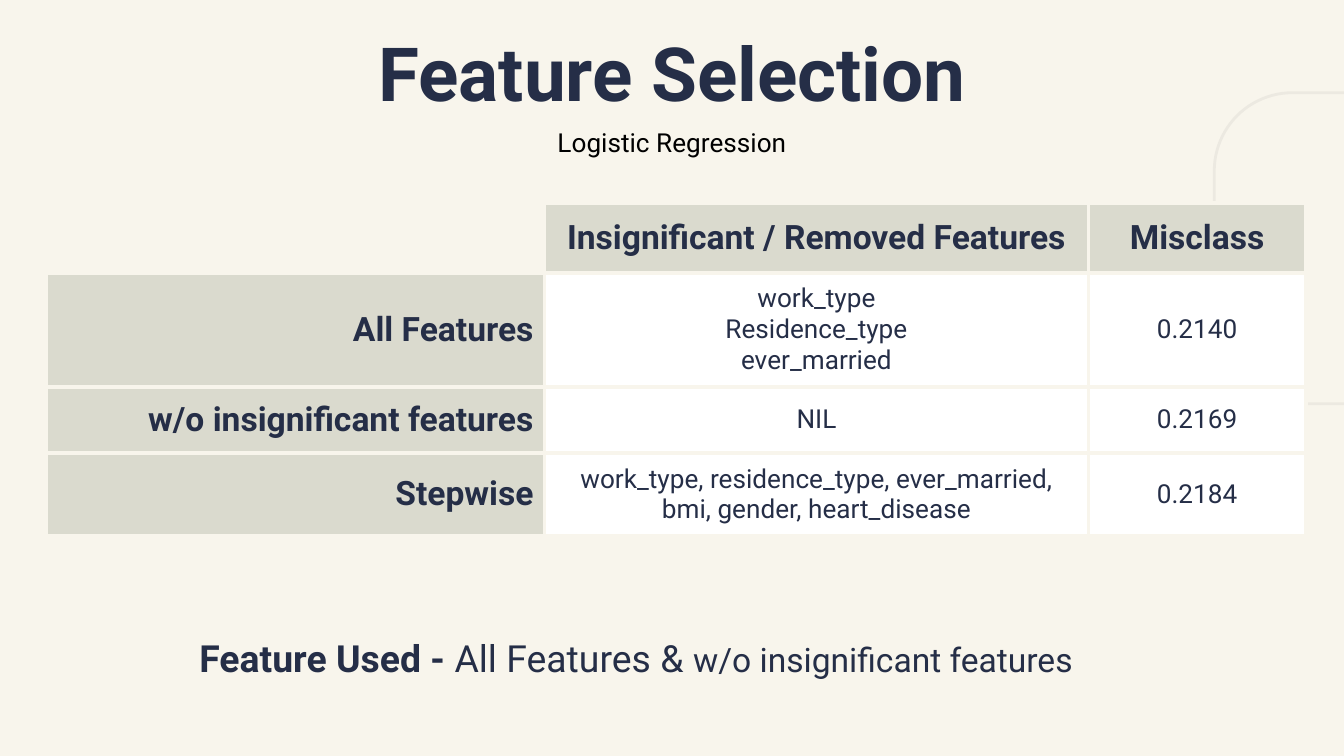
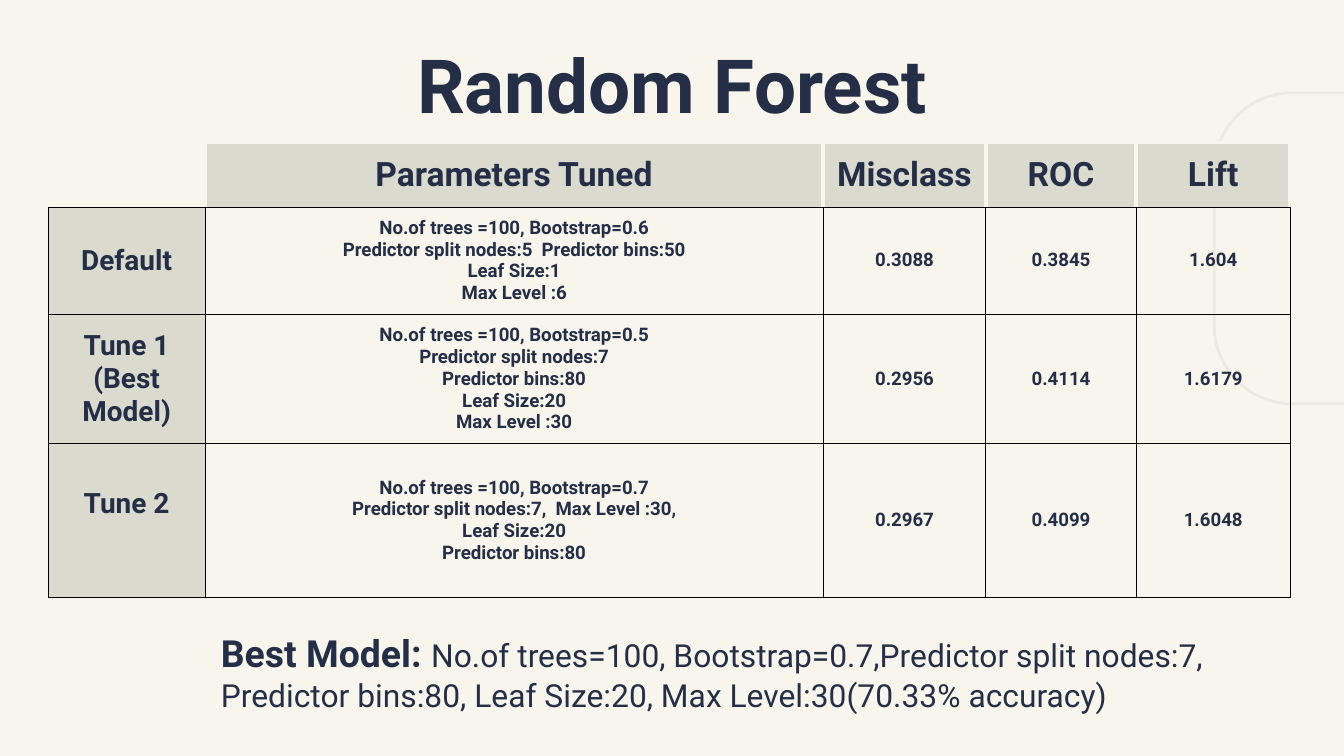
from dataclasses import dataclass, field

from lxml import etree
from pptx import Presentation
from pptx.dml.color import RGBColor
from pptx.enum.shapes import MSO_SHAPE
from pptx.enum.text import MSO_ANCHOR, PP_ALIGN
from pptx.oxml.ns import qn
from pptx.util import Emu, Pt

PX = 4572
FONT = "Roboto"
HUES = {"paper": "F8F5EC", "ink": "252E47", "band": "DADACE",
        "white": "FFFFFF", "black": "000000", "trace": "ECE9E1"}
LEFT, MID, RIGHT = PP_ALIGN.LEFT, PP_ALIGN.CENTER, PP_ALIGN.RIGHT
CENTRE = MSO_ANCHOR.MIDDLE
ROUND = MSO_SHAPE.ROUNDED_RECTANGLE


@dataclass(frozen=True)
class Run:
    """A stretch of text in one style."""
    text: str
    size: int
    bold: bool = False
    hue: str = "ink"


@dataclass(frozen=True)
class Box:
    """A place on the slide in px."""
    x: int
    y: int
    w: int
    h: int

    def emu(self) -> tuple[Emu, ...]:
        """Return the four lengths in EMU."""
        return tuple(Emu(n * PX) for n in (self.x, self.y, self.w, self.h))


@dataclass(frozen=True)
class Edge:
    """A cell border."""
    hue: str
    width: float


@dataclass(frozen=True)
class Style:
    """The look of one kind of cell."""
    size: int
    bold: bool
    fill: str | None
    align: PP_ALIGN = MID
    inset: int = 16


@dataclass(frozen=True)
class Grid:
    """A table with a head row and a label column."""
    x: int
    y: int
    cols: list[int]
    rows: list[int]
    text: list[list[str]]
    label: Style
    body: Style
    rule: Edge
    lift: dict[tuple[int, int], int] = field(default_factory=dict)


GAP = Edge("paper", 2.25)
HAIR = Edge("black", 0.5)
HEAD = Style(18, True, "band")
BARE = Style(18, True, None)
ARC = Box(1807, 138, 388, 463)
CURVE = 0.3


def tint(name: str) -> RGBColor:
    """Return a named colour."""
    return RGBColor.from_string(HUES[name])


def write(frame, lines: list[list[Run]], align: PP_ALIGN) -> None:
    """Fill a text frame with lines of runs."""
    for i, line in enumerate(lines):
        para = frame.add_paragraph() if i else frame.paragraphs[0]
        para.alignment = align
        for part in line:
            run = para.add_run()
            run.text = part.text
            run.font.name = FONT
            run.font.size = Pt(part.size)
            run.font.bold = part.bold
            run.font.color.rgb = tint(part.hue)


def add_text(slide, box: Box, runs: list[Run], align: PP_ALIGN = MID) -> None:
    """Add a one-paragraph text box."""
    frame = slide.shapes.add_textbox(*box.emu()).text_frame
    frame.word_wrap = True
    frame.vertical_anchor = CENTRE
    frame.margin_left = frame.margin_right = Emu(20 * PX)
    frame.margin_top = frame.margin_bottom = Emu(20 * PX)
    write(frame, [runs], align)


def add_edge(cell, side: str, edge: Edge) -> None:
    """Draw one border of a cell."""
    props = cell._tc.get_or_add_tcPr()
    line = etree.SubElement(props, qn(f"a:ln{side}"), w=str(Pt(edge.width)))
    fill = etree.SubElement(line, qn("a:solidFill"))
    etree.SubElement(fill, qn("a:srgbClr"), val=HUES[edge.hue])


def add_cell(cell, text: str, style: Style, lift: int) -> None:
    """Fill a cell with text and colour."""
    if style.fill:
        cell.fill.solid()
        cell.fill.fore_color.rgb = tint(style.fill)
    else:
        cell.fill.background()
    inset = Emu(style.inset * PX)
    cell.margin_left = cell.margin_right = cell.margin_top = inset
    cell.margin_bottom = Emu((style.inset + lift) * PX)
    cell.vertical_anchor = CENTRE
    if text:
        lines = [[Run(line, style.size, style.bold)]
                 for line in text.split("\n")]
        write(cell.text_frame, lines, style.align)


def add_grid(slide, grid: Grid) -> None:
    """Add a table."""
    box = Box(grid.x, grid.y, sum(grid.cols), sum(grid.rows))
    table = slide.shapes.add_table(
        len(grid.rows), len(grid.cols), *box.emu()).table
    table.first_row = table.horz_banding = False
    for col, width in zip(table.columns, grid.cols):
        col.width = Emu(width * PX)
    for row, height in zip(table.rows, grid.rows):
        row.height = Emu(height * PX)
    for r, line in enumerate(grid.text):
        for c, text in enumerate(line):
            cell = table.cell(r, c)
            for side in "LRTB":
                head = r == 0 and side != "B"
                add_edge(cell, side, GAP if head else grid.rule)
            if r == 0:
                style = HEAD if c else BARE
            else:
                style = grid.body if c else grid.label
            add_cell(cell, text, style, grid.lift.get((r, c), 0))


def add_page(deck, title: str, box: Box, grid: Grid):
    """Add a slide with its backdrop, table and title."""
    slide = deck.slides.add_slide(deck.slide_layouts[6])
    back = slide.background.fill
    back.solid()
    back.fore_color.rgb = tint("paper")
    arc = slide.shapes.add_shape(ROUND, *ARC.emu())
    arc.adjustments[0] = CURVE
    arc.shadow.inherit = False
    arc.fill.background()
    arc.line.color.rgb = tint("trace")
    arc.line.width = Pt(1.5)
    add_grid(slide, grid)
    add_text(slide, box, [Run(title, 40, True)])
    return slide


PICKS = Grid(
    68, 302, [742, 810, 323], [104, 98, 98, 98],
    [["", "Insignificant / Removed Features", "Misclass"],
     ["All Features", "work_type\nResidence_type\never_married", "0.2140"],
     ["w/o insignificant features", "NIL", "0.2169"],
     ["Stepwise", "work_type, residence_type, ever_married, "
      "bmi, gender, heart_disease", "0.2184"]],
    Style(18, True, "band", RIGHT), Style(14, False, "white"), GAP)

TUNES = Grid(
    72, 212, [233, 920, 242, 224, 229], [96, 74, 166, 228],
    [["", "Parameters Tuned", "Misclass", "ROC", "Lift"],
     ["Default", "No.of trees =100, Bootstrap=0.6\n"
      "Predictor split nodes:5  Predictor bins:50\n"
      "Leaf Size:1\nMax Level :6", "0.3088", "0.3845", "1.604"],
     ["Tune 1\n(Best Model)", "No.of trees =100, Bootstrap=0.5\n"
      "Predictor split nodes:7\nPredictor bins:80\n"
      "Leaf Size:20\nMax Level :30", "0.2956", "0.4114", "1.6179"],
     ["Tune 2", "No.of trees =100, Bootstrap=0.7\n"
      "Predictor split nodes:7,  Max Level :30,\n"
      "Leaf Size:20\nPredictor bins:80", "0.2967", "0.4099", "1.6048"]],
    Style(15, True, "band", inset=13), Style(10, True, None, inset=13),
    HAIR, {(3, 0): 48})


def main() -> None:
    """Build the deck and save it."""
    deck = Presentation()
    deck.slide_width, deck.slide_height = Emu(2000 * PX), Emu(1125 * PX)

    slide = add_page(deck, "Feature Selection", Box(459, 43, 1082, 126), PICKS)
    add_text(slide, Box(277, 920, 1666, 116),
             [Run("Feature Used - ", 20, True), Run("All Features & ", 20),
              Run("w/o insignificant features", 18)], LEFT)
    add_text(slide, Box(539, 168, 922, 88),
             [Run("Logistic Regression", 14, hue="black")])

    slide = add_page(deck, "Random Forest", Box(539, 62, 922, 126), TUNES)
    add_text(slide, Box(309, 942, 1582, 116),
             [Run("Best Model: ", 20, True),
              Run("No.of trees=100, Bootstrap=0.7,Predictor split nodes:7, "
                  "Predictor bins:80, Leaf Size:20, "
                  "Max Level:30(70.33% accuracy)", 17)], LEFT)
    deck.save("out.pptx")


if __name__ == "__main__":
    main()
